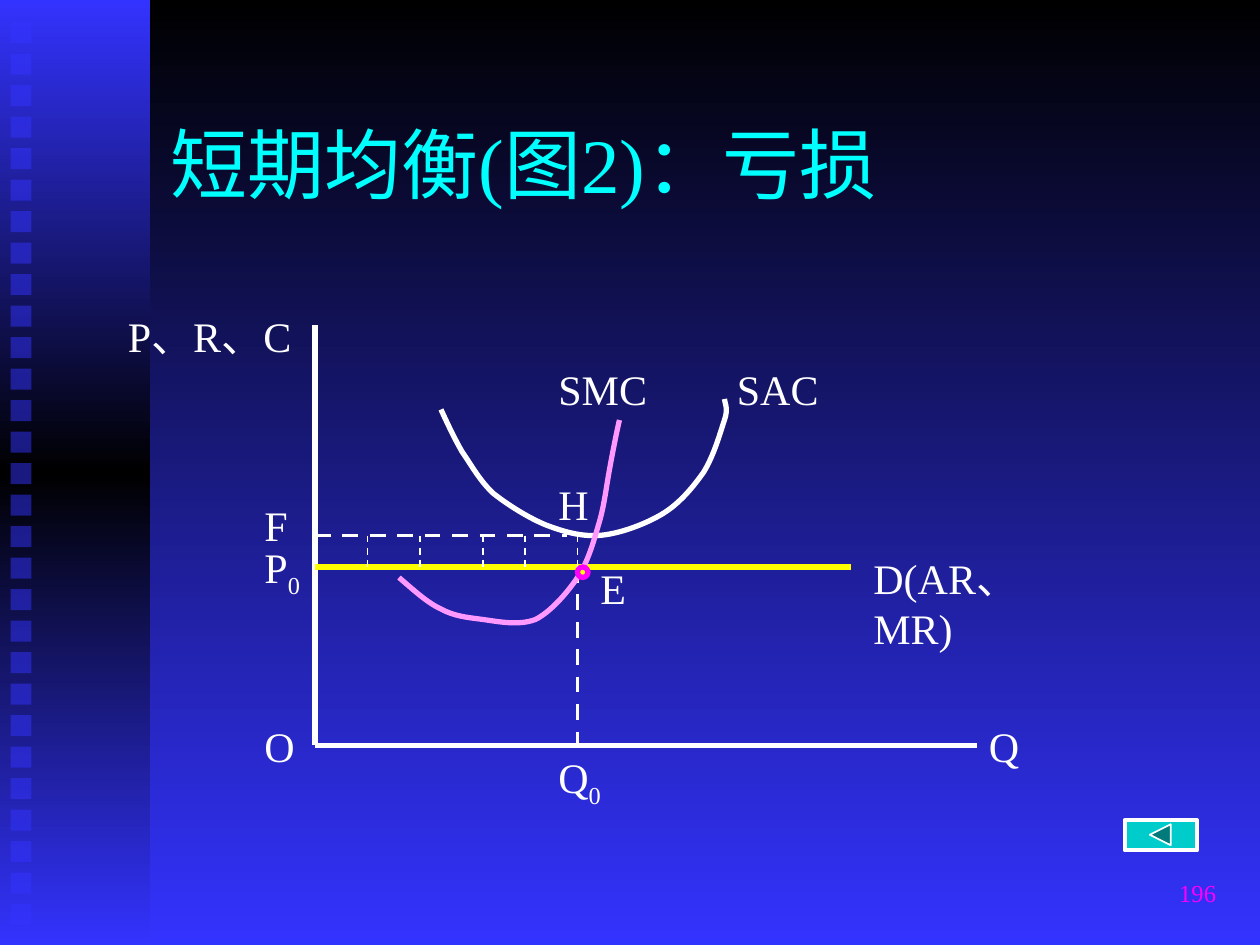
import copy
from dataclasses import dataclass

from pptx import Presentation
from pptx import util as u
from pptx.dml.color import RGBColor
from pptx.enum import dml, shapes, text
from pptx.oxml.ns import qn

EMU_PER_PX = 7620  # 120 px to the inch
FONT = "Times New Roman"
COLOURS = {
    "black": "000000", "blue": "3333FF", "cyan": "00FFFF", "white": "FFFFFF",
    "yellow": "FFFF00", "pink": "FF99FF", "magenta": "FF00FF",
    "button": "00CCCC", "arrow": "007A7A",
}


@dataclass
class Label:
    content: str
    left: int
    top: int
    width: int = 90
    height: int = 60
    subscript: str = ""


@dataclass
class Segment:
    start: tuple[int, int]
    end: tuple[int, int]
    colour: str = "white"
    weight: float = 3
    dashed: bool = False


@dataclass
class Curve:
    """A start point, then two control points and an end point per arc."""
    points: list[tuple[int, int]]
    colour: str


ORIGIN = (300, 710)
PRICE_Y, COST_Y, QUANTITY_X = 540, 510, 550
LOSS_HATCH_X = [350, 400, 460, 500, QUANTITY_X]

SEGMENTS = [
    Segment((300, 310), ORIGIN),
    Segment(ORIGIN, (930, 710)),
    Segment((300, PRICE_Y), (810, PRICE_Y), "yellow"),
    Segment((QUANTITY_X, PRICE_Y), (QUANTITY_X, 710), weight=2.25, dashed=True),
    Segment((300, COST_Y), (540, COST_Y), weight=2.25, dashed=True),
] + [Segment((x, COST_Y), (x, PRICE_Y), weight=1, dashed=True) for x in LOSS_HATCH_X]

CURVES = [
    Curve([(420, 390), (426, 403), (432, 416), (440, 430),
           (449, 443), (457, 458), (470, 470), (484, 481), (503, 493), (520, 500),
           (536, 506), (552, 511), (570, 510), (588, 509), (613, 500), (630, 490),
           (647, 480), (660, 464), (670, 450), (680, 434), (686, 412), (690, 400),
           (694, 389), (690, 383), (690, 380)], "white"),
    Curve([(380, 550), (394, 562), (407, 574), (420, 580),
           (433, 587), (445, 588), (460, 590), (475, 592), (494, 596), (510, 590),
           (524, 583), (540, 565), (550, 550), (560, 535), (565, 517), (570, 500),
           (575, 484), (577, 467), (580, 450), (583, 433), (588, 408), (590, 400)],
          "pink"),
]

LABELS = [
    Label("O", 240, 680),
    Label("Q", 930, 680),
    Label("P、R、C", 110, 290, 180, 108),
    Label("D(AR、MR)", 820, 520, 230, 108),
    Label("P", 240, 510, height=67, subscript="0"),
    Label("SAC", 690, 340, 140),
    Label("SMC", 520, 340, 140),
    Label("E", 560, 530),
    Label("Q", 520, 710, height=67, subscript="0"),
    Label("H", 520, 450),
    Label("F", 240, 470),
]


def px(length: int) -> u.Emu:
    return u.Emu(length * EMU_PER_PX)


def rgb(name: str) -> RGBColor:
    return RGBColor.from_string(COLOURS[name])


def set_gradient(fill, element, names: list[str]) -> None:
    """Give a top-to-bottom gradient with evenly spaced stops."""
    fill.gradient()
    fill.gradient_angle = 270
    stop_list = next(element.iter(qn("a:gsLst")))
    while len(stop_list) < len(names):
        stop_list.append(copy.deepcopy(stop_list[-1]))
    for index, (stop, name) in enumerate(zip(fill.gradient_stops, names)):
        stop.color.rgb = rgb(name)
        stop.position = index / (len(names) - 1)


def add_filled(slide, kind, box: tuple[int, int, int, int], fill: str,
               line: str = "", weight: float = 1):
    shape = slide.shapes.add_shape(kind, *map(px, box))
    shape.shadow.inherit = False
    shape.fill.solid()
    shape.fill.fore_color.rgb = rgb(fill)
    if line:
        shape.line.color.rgb = rgb(line)
        shape.line.width = u.Pt(weight)
    else:
        shape.line.fill.background()
    return shape


def add_sidebar(slide) -> None:
    rectangle = shapes.MSO_SHAPE.RECTANGLE
    band = add_filled(slide, rectangle, (0, 0, 143, 900), "blue")
    set_gradient(band.fill, band._element, ["blue", "black", "blue"])
    for row in range(29):
        square = add_filled(slide, rectangle, (10, 21 + 30 * row, 20, 20), "blue")
        colour = next(square._element.spPr.iter(qn("a:srgbClr")))
        colour.makeelement(qn("a:alpha"), {})
        alpha = colour.makeelement(qn("a:alpha"), {"val": "50000"})
        colour.append(alpha)


def add_segment(slide, segment: Segment) -> None:
    connector = slide.shapes.add_connector(
        shapes.MSO_CONNECTOR.STRAIGHT, *map(px, segment.start + segment.end))
    connector.line.color.rgb = rgb(segment.colour)
    connector.line.width = u.Pt(segment.weight)
    if segment.dashed:
        connector.line.dash_style = dml.MSO_LINE.DASH
    properties = connector._element.spPr
    properties.append(properties.makeelement(qn("a:effectLst"), {}))


def add_outline(slide, points: list[tuple[int, int]], closed: bool,
                line: str, weight: float):
    builder = slide.shapes.build_freeform(*points[0], scale=EMU_PER_PX)
    builder.add_line_segments(points[1:], close=closed)
    shape = builder.convert_to_shape()
    shape.shadow.inherit = False
    shape.line.color.rgb = rgb(line)
    shape.line.width = u.Pt(weight)
    return shape


def add_curve(slide, curve: Curve) -> None:
    """Draw the points as an outline, then turn each three steps into an arc."""
    shape = add_outline(slide, curve.points, False, curve.colour, 3)
    shape.fill.background()
    steps = list(shape._element.iter(qn("a:lnTo")))
    for first in range(0, len(steps), 3):
        arc = steps[first].makeelement(qn("a:cubicBezTo"), {})
        steps[first].addprevious(arc)
        for step in steps[first:first + 3]:
            arc.append(step[0])
            step.getparent().remove(step)


def format_run(run, size: int, colour: str) -> None:
    run.font.name = FONT
    run.font.size = u.Pt(size)
    run.font.color.rgb = rgb(colour)


def add_label(slide, label: Label, size: int = 24, colour: str = "white"):
    box = slide.shapes.add_textbox(
        *map(px, (label.left, label.top, label.width, label.height)))
    box.text_frame.word_wrap = True
    paragraph = box.text_frame.paragraphs[0]
    paragraph.text = label.content
    if label.subscript:
        run = paragraph.add_run()
        run.text = label.subscript
        run._r.get_or_add_rPr().set("baseline", "-25000")
    for run in paragraph.runs:
        format_run(run, size, colour)
    return box


def add_title(slide, content: str) -> None:
    title = slide.shapes.title
    title.left, title.top, title.width, title.height = map(px, (150, 115, 1020, 80))
    frame = title.text_frame
    frame.text = content
    frame.auto_size = text.MSO_AUTO_SIZE.NONE
    frame.vertical_anchor = text.MSO_ANCHOR.MIDDLE
    frame.paragraphs[0].alignment = text.PP_ALIGN.LEFT
    format_run(frame.paragraphs[0].runs[0], 44, "cyan")


def add_back_button(slide) -> None:
    add_filled(slide, shapes.MSO_SHAPE.RECTANGLE, (1071, 781, 69, 29),
               "button", "white", 2.25)
    arrow = add_outline(slide, [(1095, 795), (1115, 785), (1115, 805)], True, "white", 1)
    arrow.fill.solid()
    arrow.fill.fore_color.rgb = rgb("arrow")


def add_page_number(slide, number: str) -> None:
    box = add_label(slide, Label(number, 920, 820, 250), 14, "magenta")
    box.text_frame.vertical_anchor = text.MSO_ANCHOR.MIDDLE
    box.text_frame.paragraphs[0].alignment = text.PP_ALIGN.RIGHT


def main() -> None:
    presentation = Presentation()
    presentation.slide_width, presentation.slide_height = px(1200), px(900)
    slide = presentation.slides.add_slide(presentation.slide_layouts[5])
    set_gradient(slide.background.fill, slide._element, ["black", "blue"])
    add_sidebar(slide)
    add_title(slide, "短期均衡(图2)：亏损")
    for segment in SEGMENTS:
        add_segment(slide, segment)
    for curve in CURVES:
        add_curve(slide, curve)
    for label in LABELS:
        add_label(slide, label)
    add_back_button(slide)
    add_filled(slide, shapes.MSO_SHAPE.OVAL, (550, 540, 10, 10), "yellow", "magenta", 3)
    add_page_number(slide, "196")
    presentation.save("out.pptx")


if __name__ == "__main__":
    main()
